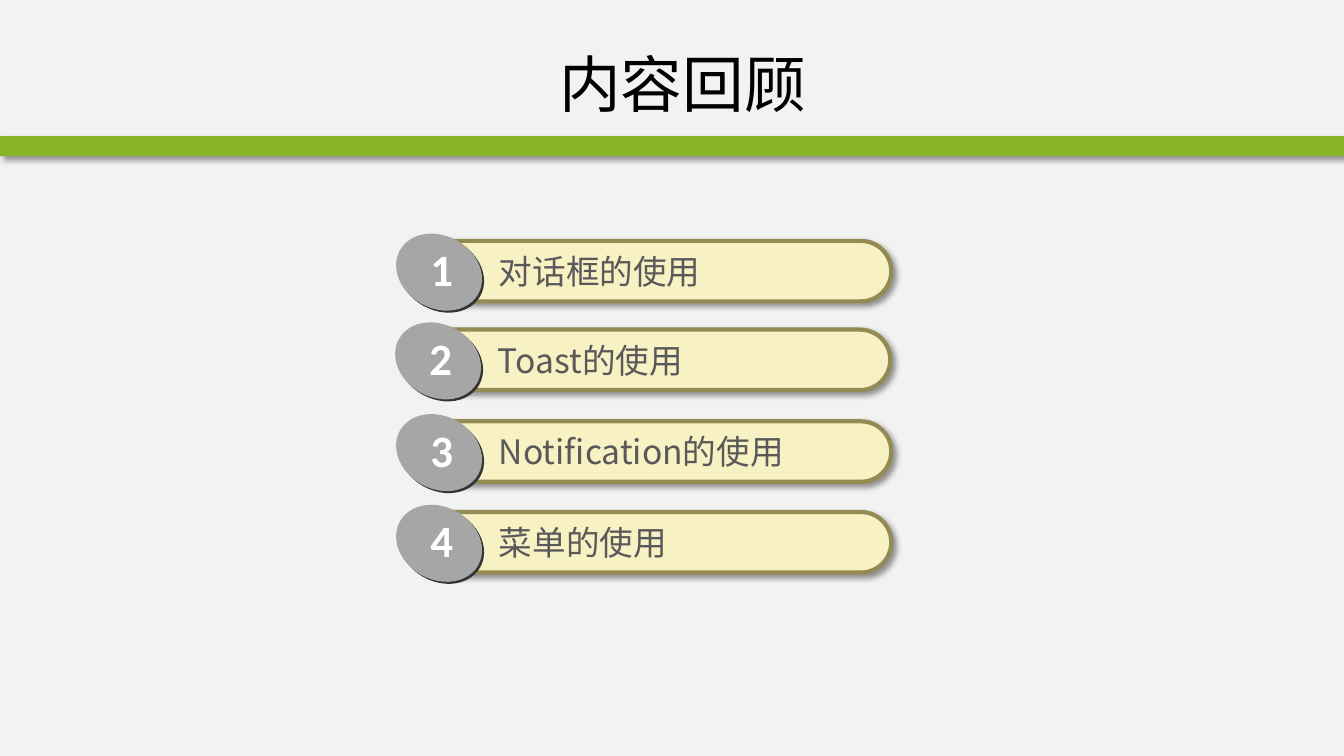
from lxml.etree import SubElement
from pptx import Presentation
from pptx.dml.color import RGBColor
from pptx.enum.shapes import MSO_SHAPE as SHAPE
from pptx.enum.text import MSO_ANCHOR as ANCHOR, MSO_AUTO_SIZE as AUTO_SIZE, PP_ALIGN as ALIGN
from pptx.oxml.ns import qn
from pptx.util import Pt

PX = 9144
TOPICS = [
    (413, 239, "对话框的使用"),
    (412, 327, "Toast的使用"),
    (413, 418, "Notification的使用"),
    (413, 508, "菜单的使用"),
]


def add_filled(shapes, kind, box, color, shadow=False):
    shape = shapes.add_shape(kind, *[n * PX for n in box])
    shape.shadow.inherit = False
    shape.fill.solid()
    shape.fill.fore_color.rgb = RGBColor.from_string(color)
    shape.line.fill.background()
    if shadow:
        effects = shape._element.spPr.find(qn("a:effectLst"))
        outer = SubElement(effects, qn("a:outerShdw"), blurRad=str(Pt(4)), dist=str(Pt(3)),
                           dir="2700000", algn="tl", rotWithShape="0")
        black = SubElement(outer, qn("a:srgbClr"), val="000000")
        SubElement(black, qn("a:alpha"), val="40000")
    return shape


def add_text(frame, text, size, font, color, bold=False):
    run = frame.paragraphs[0].add_run()
    run.text = text
    run.font.size = Pt(size)
    run.font.bold = bold
    run.font.color.rgb = RGBColor.from_string(color)
    run.font.name = font
    SubElement(run._r.get_or_add_rPr(), qn("a:ea"), typeface=font)


deck = Presentation()
deck.slide_width, deck.slide_height = 1333 * PX, 750 * PX
slide = deck.slides.add_slide(deck.slide_layouts[5])
slide.background.fill.solid()
slide.background.fill.fore_color.rgb = RGBColor.from_string("F2F2F2")

heading = slide.shapes.title
heading.left, heading.top, heading.width, heading.height = [n * PX for n in (139, 30, 1076, 105)]
heading.text_frame.vertical_anchor = ANCHOR.MIDDLE
heading.text_frame.paragraphs[0].alignment = ALIGN.CENTER
add_text(heading.text_frame, "内容回顾", 44, "Noto Sans CJK SC", "000000")

add_filled(slide.shapes, SHAPE.RECTANGLE, (0, 135, 1333, 20), "88B429", shadow=True)

for number, (left, top, topic) in enumerate(TOPICS, 1):
    row = slide.shapes.add_group_shape().shapes

    pill = add_filled(row, SHAPE.ROUNDED_RECTANGLE, (left, top, 471, 60), "F7F1C4", shadow=True)
    pill.adjustments[0] = 0.5
    pill.line.color.rgb = RGBColor.from_string("948A54")
    pill.line.width = Pt(3)

    label = row.add_textbox((left + 72) * PX, (top + 5) * PX, 375 * PX, 51 * PX).text_frame
    label.word_wrap = True
    label.auto_size = AUTO_SIZE.SHAPE_TO_FIT_TEXT
    add_text(label, topic, 24, "Noto Sans CJK SC", "595959")

    for dx, dy, color in [(-20, -3, "333333"), (-22, -5, "A6A6A6")]:
        badge = add_filled(row, SHAPE.OVAL, (left + dx, top + dy, 89, 72), color)
        badge.rotation = 29.3

    digit = row.add_textbox((left + 4) * PX, (top - 4) * PX, 43 * PX, 64 * PX).text_frame
    digit.word_wrap = False
    digit.auto_size = AUTO_SIZE.SHAPE_TO_FIT_TEXT
    add_text(digit, str(number), 32, "Calibri", "FFFFFF", bold=True)

deck.save("out.pptx")
